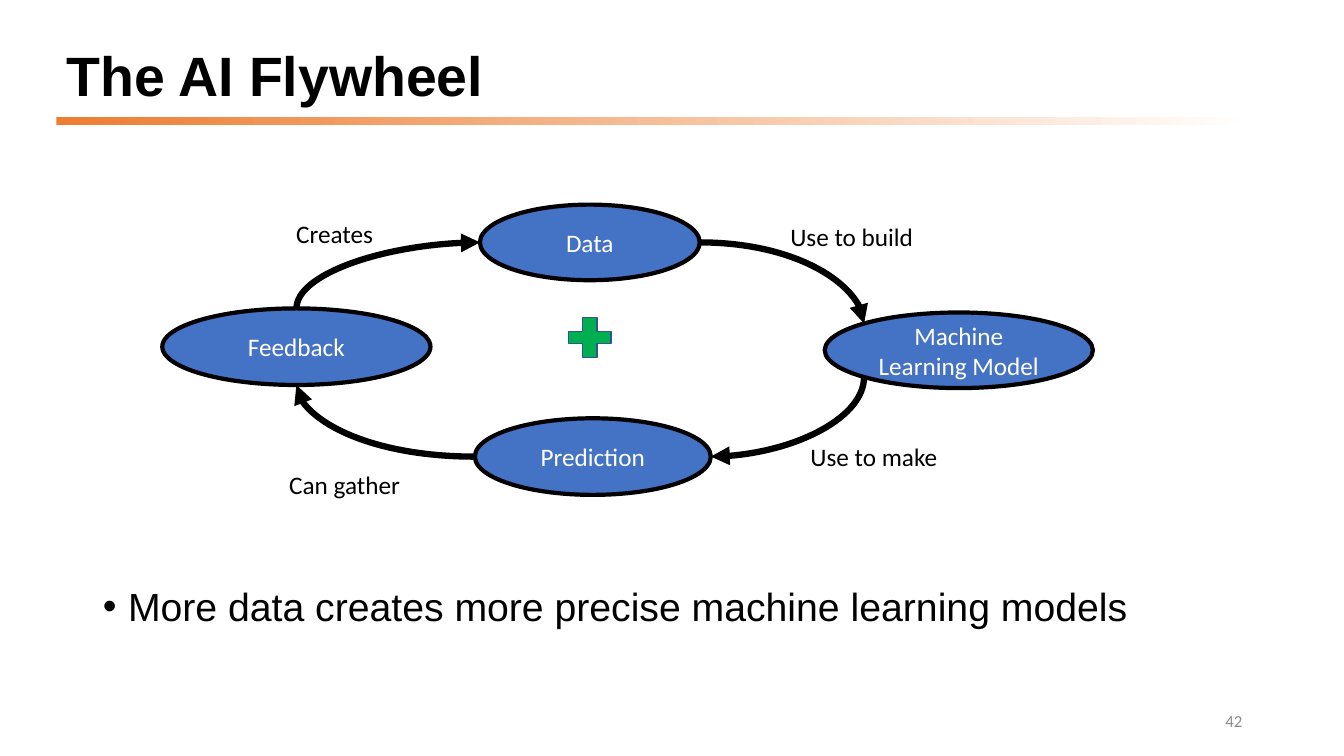
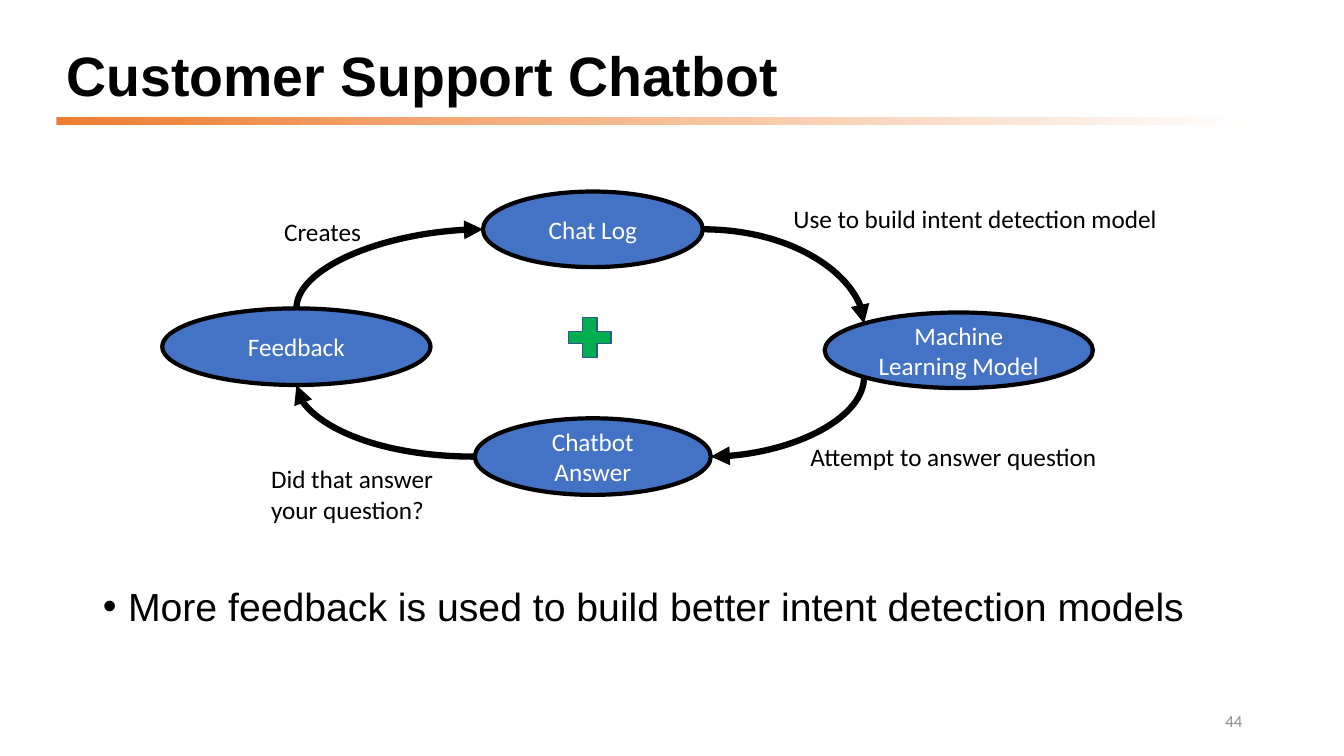
import math
from dataclasses import dataclass

import lxml.etree
import pptx
import pptx.dml.color
import pptx.enum.shapes
import pptx.enum.text
import pptx.oxml.ns
import pptx.util

Inches = pptx.util.Inches
Pt = pptx.util.Pt
qn = pptx.oxml.ns.qn
SHAPES = pptx.enum.shapes.MSO_SHAPE
ALIGN = pptx.enum.text.PP_ALIGN
ANCHOR = pptx.enum.text.MSO_ANCHOR
FIT = pptx.enum.text.MSO_AUTO_SIZE


@dataclass(frozen=True)
class Theme:
    ink: str = "000000"
    paper: str = "FFFFFF"
    accent: str = "ED7D31"
    node: str = "4472C4"
    plus: str = "00B050"
    plus_edge: str = "325491"
    muted: str = "8C8C8C"
    heading_font: str = "Arial"
    diagram_font: str = "Calibri"
    title_size: float = 39.6
    body_size: float = 28
    diagram_size: float = 18
    number_size: float = 12
    node_line: float = 3
    arrow_line: float = 4.5


THEME = Theme()

# Boxes: left, top, width, height in inches
TITLE_BOX = (0.56, 0.4, 11.5, 0.76)
RULE_BOX = (0.56, 1.16, 11.86, 0.08)
FLYWHEEL_BOX = (1.61, 1.9, 9.23, 3.36)
TAKEAWAY_BOX = (0.92, 5.78, 11.5, 0.98)
NUMBER_BOX = (9.42, 6.95, 3, 0.4)

# Connection sites of an ellipse, counted counterclockwise from the top
TOP, TOP_LEFT, LEFT, BOTTOM_LEFT, BOTTOM, RIGHT = 0, 1, 2, 3, 4, 6

# Each arrow turns clockwise: start node, its site, end node, its site
ARROWS = [
    ("data", RIGHT, "model", TOP_LEFT),
    ("model", BOTTOM_LEFT, "prediction", RIGHT),
    ("prediction", LEFT, "feedback", BOTTOM),
    ("feedback", TOP, "data", LEFT),
]

# Node and label boxes are relative to the flywheel box
SLIDES = [
    {
        "title": "The AI Flywheel",
        "takeaway": "More data creates more precise machine learning models",
        "number": "42",
        "data": ("Data", 3.15, 0.13),
        "prediction": "Prediction",
        "labels": [
            ("Use to build", 6.13, 0.25, 1.43, 0.4),
            ("Use to make", 6.33, 2.43, 1.47, 0.4),
            ("Can gather", 1.16, 2.71, 1.31, 0.4),
            ("Creates", 1.23, 0.22, 0.97, 0.4),
        ],
    },
    {
        "title": "Customer Support Chatbot",
        "takeaway": "More feedback is used to build better intent detection models",
        "number": "44",
        "data": ("Chat Log", 3.18, 0),
        "prediction": "Chatbot\nAnswer",
        "labels": [
            ("Use to build intent detection model", 6.16, 0.07, 3.85, 0.4),
            ("Attempt to answer question", 6.33, 2.43, 3.08, 0.4),
            ("Did that answer\nyour question?", 0.98, 2.65, 1.83, 0.71),
            ("Creates", 1.11, 0.2, 0.97, 0.4),
        ],
    },
]


def rgb(colour):
    return pptx.dml.color.RGBColor.from_string(colour)


def inches(box):
    return [Inches(length) for length in box]


def within(outer, left, top, width, height):
    return outer[0] + left, outer[1] + top, width, height


def write(frame, text, size, colour, font=THEME.diagram_font, bold=False, align=ALIGN.LEFT):
    frame.text = text
    for paragraph in frame.paragraphs:
        paragraph.alignment = align
        for run in paragraph.runs:
            run.font.size = Pt(size)
            run.font.name = font
            run.font.bold = bold
            run.font.color.rgb = rgb(colour)


def add_filled(slide, preset, box, fill, edge, edge_width):
    shape = slide.shapes.add_shape(preset, *inches(box))
    shape.shadow.inherit = False
    shape.fill.solid()
    shape.fill.fore_color.rgb = rgb(fill)
    shape.line.color.rgb = rgb(edge)
    shape.line.width = Pt(edge_width)
    return shape


def add_text(slide, box, text, size, colour, align=ALIGN.LEFT):
    frame = slide.shapes.add_textbox(*inches(box)).text_frame
    write(frame, text, size, colour, align=align)
    return frame


def add_master_rule(master, slide):
    """Draw the fading rule and hand it to the master, so every slide shows it."""
    rule = slide.shapes.add_shape(SHAPES.RECTANGLE, *inches(RULE_BOX))
    rule.shadow.inherit = False
    rule.line.fill.background()
    rule.fill.gradient()
    rule.fill.gradient_angle = 0
    for stop, colour, position in zip(rule.fill.gradient_stops, (THEME.accent, THEME.paper), (0, 1)):
        stop.color.rgb = rgb(colour)
        stop.position = position
    rule._element.nvSpPr.cNvPr.set("id", "20")
    master.shapes._spTree.insert(2, rule._element)


def fill_placeholder(placeholder, box, text, size, bold, anchor):
    placeholder.left, placeholder.top, placeholder.width, placeholder.height = inches(box)
    frame = placeholder.text_frame
    write(frame, text, size, THEME.ink, THEME.heading_font, bold)
    frame.auto_size = FIT.NONE
    frame.vertical_anchor = anchor
    frame.paragraphs[0].line_spacing = 0.9
    return frame.paragraphs[0]


def add_takeaway(slide, text, box):
    bullet = fill_placeholder(slide.placeholders[1], box, text, THEME.body_size, False, ANCHOR.TOP)
    bullet.space_before = Pt(10)
    properties = bullet._p.get_or_add_pPr()
    properties.set("marL", str(Inches(0.25)))
    properties.set("indent", str(-Inches(0.25)))


def add_node(slide, box, text):
    node = add_filled(slide, SHAPES.OVAL, box, THEME.node, THEME.ink, THEME.node_line)
    write(node.text_frame, text, THEME.diagram_size, THEME.paper, align=ALIGN.CENTER)
    node.text_frame.vertical_anchor = ANCHOR.MIDDLE
    return node


def site_point(node, site):
    angle = math.radians(90 + 45 * site)
    x = node.left + node.width / 2 * (1 + math.cos(angle))
    y = node.top + node.height / 2 * (1 - math.sin(angle))
    return x, y


def add_arrow(slide, start, start_site, end, end_site, quarter_turns):
    """Join two nodes with a quarter arc, turned clockwise by quarter turns."""
    (x1, y1), (x2, y2) = site_point(start, start_site), site_point(end, end_site)
    width, height = abs(x2 - x1), abs(y2 - y1)
    if quarter_turns % 2:
        width, height = height, width
    left, top = (x1 + x2 - width) / 2, (y1 + y2 - height) / 2
    arrow = slide.shapes.add_connector(
        pptx.enum.shapes.MSO_CONNECTOR.CURVE,
        *(round(value) for value in (left, top, left + width, top + height)))
    arrow.line.color.rgb = rgb(THEME.ink)
    arrow.line.width = Pt(THEME.arrow_line)

    # Single bend, rotation, arrowhead and no shadow
    properties = arrow._element.spPr
    properties.find(qn("a:prstGeom")).set("prst", "curvedConnector2")
    properties.find(qn("a:xfrm")).set("rot", str(quarter_turns * 5400000))
    lxml.etree.SubElement(properties.find(qn("a:ln")), qn("a:tailEnd"), type="triangle")
    lxml.etree.SubElement(properties, qn("a:effectLst"))

    # Glue both ends to the nodes
    joints = arrow._element.nvCxnSpPr.cNvCxnSpPr
    for tag, node, site in (("a:stCxn", start, start_site), ("a:endCxn", end, end_site)):
        lxml.etree.SubElement(joints, qn(tag), id=str(node.shape_id), idx=str(site))


def add_flywheel(slide, content, box):
    # Nodes
    data_text, data_left, data_top = content["data"]
    node_parts = {
        "data": (data_text, data_left, data_top, 2.18, 0.75),
        "prediction": (content["prediction"], 3.1, 2.25, 2.34, 0.76),
        "model": ("Machine Learning Model", 6.57, 1.2, 2.66, 0.75),
        "feedback": ("Feedback", 0, 1.16, 2.66, 0.76),
    }
    nodes = {key: add_node(slide, within(box, *place), text)
             for key, (text, *place) in node_parts.items()}

    # Arrows
    for turns, (start, start_site, end, end_site) in enumerate(ARROWS):
        add_arrow(slide, nodes[start], start_site, nodes[end], end_site, turns)

    # Arrow labels
    for text, *place in content["labels"]:
        frame = add_text(slide, within(box, *place), text, THEME.diagram_size, THEME.ink)
        frame.word_wrap = False
        frame.auto_size = FIT.SHAPE_TO_FIT_TEXT

    # Plus sign in the centre
    plus = add_filled(slide, SHAPES.CROSS, within(box, 4.03, 1.25, 0.42, 0.4),
                      THEME.plus, THEME.plus_edge, 1)
    plus.adjustments[0] = 0.35


def add_slide_number(slide, number, box):
    frame = add_text(slide, box, number, THEME.number_size, THEME.muted, ALIGN.RIGHT)
    frame.word_wrap = True
    frame.vertical_anchor = ANCHOR.MIDDLE


def add_flywheel_slide(deck, content):
    slide = deck.slides.add_slide(deck.slide_layouts[1])
    fill_placeholder(slide.shapes.title, TITLE_BOX, content["title"],
                     THEME.title_size, True, ANCHOR.MIDDLE)
    add_takeaway(slide, content["takeaway"], TAKEAWAY_BOX)
    add_slide_number(slide, content["number"], NUMBER_BOX)
    add_flywheel(slide, content, FLYWHEEL_BOX)
    return slide


def main():
    deck = pptx.Presentation()
    deck.slide_width, deck.slide_height = Inches(13.33), Inches(7.5)
    slides = [add_flywheel_slide(deck, content) for content in SLIDES]
    add_master_rule(deck.slide_master, slides[0])
    deck.save("out.pptx")


if __name__ == "__main__":
    main()
